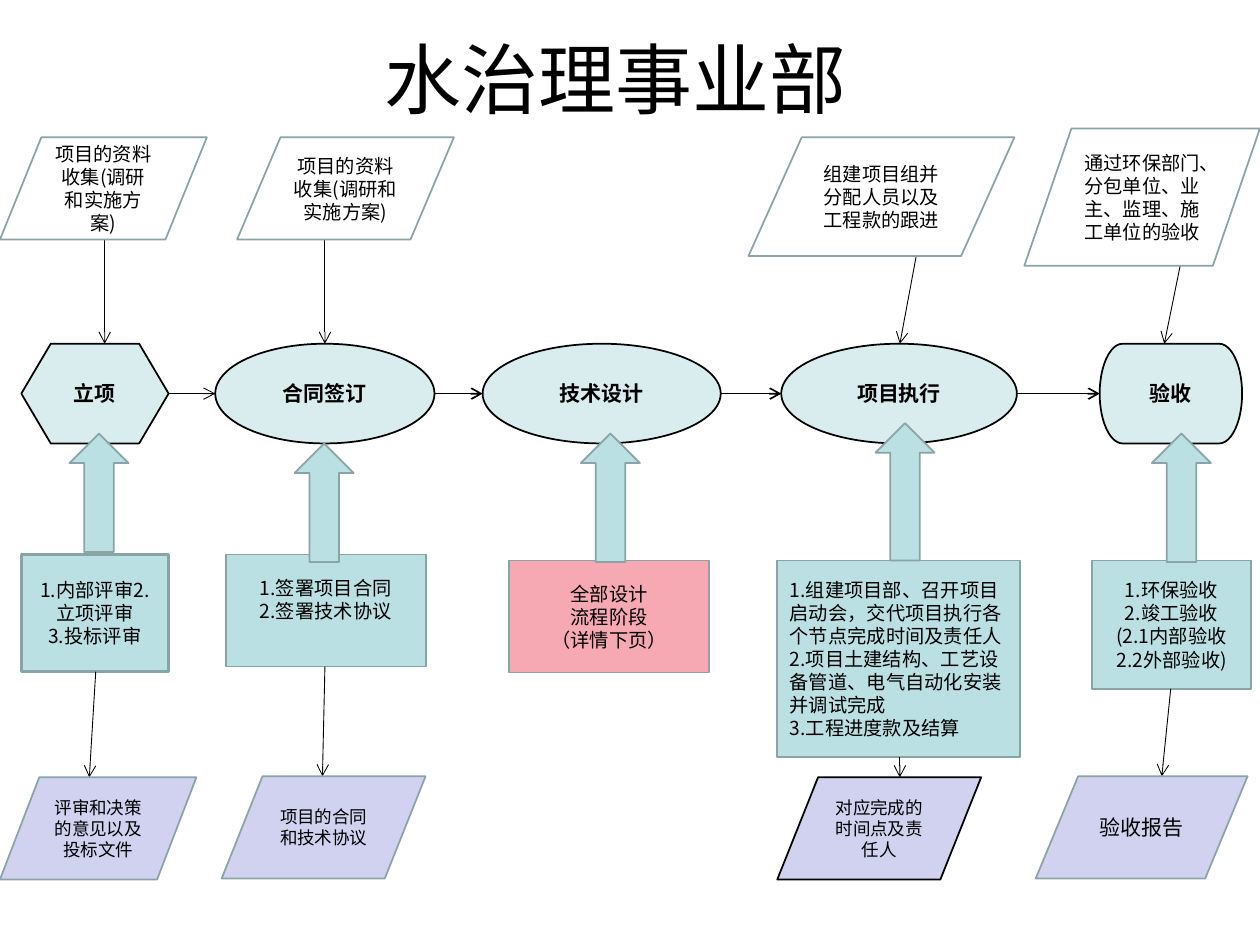
import pptx
import pptx.util
import pptx.dml.color
import pptx.enum.shapes
import pptx.enum.text
import pptx.oxml.ns
import lxml.etree

Cm, Pt = pptx.util.Cm, pptx.util.Pt
RGB = pptx.dml.color.RGBColor.from_string
KIND = pptx.enum.shapes.MSO_SHAPE
ALIGN = pptx.enum.text.PP_ALIGN
MID = pptx.enum.text.MSO_ANCHOR.MIDDLE
qn = pptx.oxml.ns.qn

THEME = {
    "ink": "000000", "edge": "89A4A7", "step": "D9EDEE", "task": "BBE0E3",
    "result": "D1D1F0", "note": "FFFFFF", "design": "F6A8B3",
    "latin": "Arial", "cjk": "Noto Sans CJK SC",
    "title": 44, "head": 12, "body": 11, "small": 10, "bold": 1, "thin": 0.5,
}

# Content: boxes are (left, top, width, height) in cm
TITLE = "水治理事业部", (0.99, 0.41, 22.86, 2.31)

TOP, HIGH = 6.93, 2.01
STEPS = [  # text, left, width, shape
    ("立项", 0.43, 2.97, KIND.FLOWCHART_PREPARATION),
    ("合同签订", 4.34, 4.42, KIND.FLOWCHART_CONNECTOR),
    ("技术设计", 9.73, 4.8, KIND.FLOWCHART_CONNECTOR),
    ("项目执行", 15.75, 4.75, KIND.FLOWCHART_CONNECTOR),
    ("验收", 22.17, 2.87, KIND.FLOWCHART_TERMINATOR),
]

SURVEY = "项目的资料收集(调研和实施方案)"
NOTES = [  # text, box, font, link x at start and end
    (SURVEY, (0, 2.77, 4.17, 2.06), "cjk", (2.11, 2.11)),
    (SURVEY, (4.78, 2.77, 4.37, 2.06), "cjk", (6.55, 6.55)),
    ("组建项目组并分配人员以及工程款的跟进",
     (15.09, 2.77, 5.36, 2.39), "latin", (18.47, 18.14)),
    ("通过环保部门、分包单位、业主、监理、施工单位的验收",
     (20.65, 2.59, 4.75, 2.77), "latin", (23.79, 23.47)),
]

TASKS = [  # text, box, format changes
    ("1.内部评审2.立项评审\n3.投标评审",
     (0.43, 11.18, 2.97, 2.36), {"width": 1.5}),
    ("1.签署项目合同\n2.签署技术协议",
     (4.55, 11.18, 4.04, 2.26), {"foot": 0.59}),
    ("全部设计\n流程阶段\n（详情下页）",
     (10.26, 11.3, 4.04, 2.26), {"fill": "design"}),
    ("1.组建项目部、召开项目启动会，交代项目执行各个节点完成时间及责任人\n"
     "2.项目土建结构、工艺设备管道、电气自动化安装并调试完成\n"
     "3.工程进度款及结算",
     (15.67, 11.3, 4.9, 3.96), {"align": ALIGN.LEFT}),
    ("1.环保验收\n2.竣工验收\n(2.1内部验收\n2.2外部验收)",
     (22.02, 11.3, 3.2, 2.59), {}),
]

RESULTS = [  # text, box, task index, link x at start and end, format changes
    ("评审和决策的意见以及投标文件", (0, 15.67, 3.96, 2.06), 0, (1.93, 1.8), {}),
    ("项目的合同和技术协议", (4.47, 15.65, 4.11, 2.06), 1, (6.55, 6.5), {}),
    ("对应完成的时间点及责任人", (15.67, 15.67, 4.11, 2.06), 3,
     (18.14, 18.14), {"line": "ink"}),
    ("验收报告", (20.88, 15.65, 4.27, 2.06), 4, (23.6, 23.42), {"size": "head"}),
]

RISERS = [  # left, top, height
    (1.4, 8.74, 2.39), (5.94, 8.94, 2.39), (11.71, 8.74, 2.59),
    (17.65, 8.53, 2.77), (23.22, 8.74, 2.59),
]


def put(obj, vals):
    for name, val in vals.items():
        setattr(obj, name, val)


def write(shape, text, size, font="latin", bold=False,
          align=ALIGN.CENTER, foot=0.13):
    frame = shape.text_frame
    frame.text = text
    put(frame, {"word_wrap": True, "vertical_anchor": MID,
                "margin_left": Cm(0.25), "margin_right": Cm(0.25),
                "margin_top": Cm(0.13), "margin_bottom": Cm(foot)})
    for para in frame.paragraphs:
        para.alignment = align
        for run in para.runs:
            put(run.font, {"name": THEME[font], "size": Pt(THEME[size]),
                           "bold": bold})
            run.font.color.rgb = RGB(THEME["ink"])


def draw(kind, box, fill, line="edge", width=THEME["bold"]):
    shape = slide.shapes.add_shape(kind, *map(Cm, box))
    shape.shadow.inherit = False
    shape.fill.solid()
    shape.fill.fore_color.rgb = RGB(THEME[fill])
    shape.line.color.rgb = RGB(THEME[line])
    shape.line.width = Pt(width)
    return shape


def node(kind, box, text, look):
    look = dict(look)
    style = {key: look.pop(key) for key in ("fill", "line", "width")
             if key in look}
    write(draw(kind, box, **style), text, **look)


def link(start, end, width="thin"):
    line = slide.shapes.add_connector(
        pptx.enum.shapes.MSO_CONNECTOR.STRAIGHT, *map(Cm, start + end))
    line.line.color.rgb = RGB(THEME["ink"])
    line.line.width = Pt(THEME[width])
    prop = line._element.spPr
    lxml.etree.SubElement(prop.find(qn("a:ln")), qn("a:tailEnd"), type="arrow")
    lxml.etree.SubElement(prop, qn("a:effectLst"))


def base(box):
    return box[1] + box[3]


deck = pptx.Presentation()
put(deck, {"slide_width": Cm(25.4), "slide_height": Cm(19.05)})
slide = deck.slides.add_slide(deck.slide_layouts[6])

# Title
text, box = TITLE
write(slide.shapes.add_textbox(*map(Cm, box)), text, "title")

# Links between steps; the first one is thin
mid = TOP + HIGH / 2
for i, (prev, step) in enumerate(zip(STEPS, STEPS[1:])):
    link((prev[1] + prev[2], mid), (step[1], mid), "bold" if i else "thin")

# Main steps
for text, left, wide, kind in STEPS:
    node(kind, (left, TOP, wide, HIGH), text,
         {"fill": "step", "line": "ink", "size": "head", "bold": True})

# Notes above, each leading down to its step
for text, box, font, (x1, x2) in NOTES:
    link((x1, base(box)), (x2, TOP))
    node(KIND.FLOWCHART_DATA, box, text,
         {"fill": "note", "size": "body", "font": font})

# Tasks below the steps
for text, box, look in TASKS:
    node(KIND.RECTANGLE, box, text,
         {"fill": "task", "size": "body", "font": "cjk", **look})

# Results, each fed by its task
for text, box, i, (x1, x2), look in RESULTS:
    link((x1, base(TASKS[i][1])), (x2, box[1]))
    node(KIND.FLOWCHART_DATA, box, text,
         {"fill": "result", "size": "small", **look})

# Block arrows from tasks up to steps
for left, top, high in RISERS:
    draw(KIND.DOWN_ARROW, (left, top, 1.19, high), "task").rotation = 180

deck.save("out.pptx")
